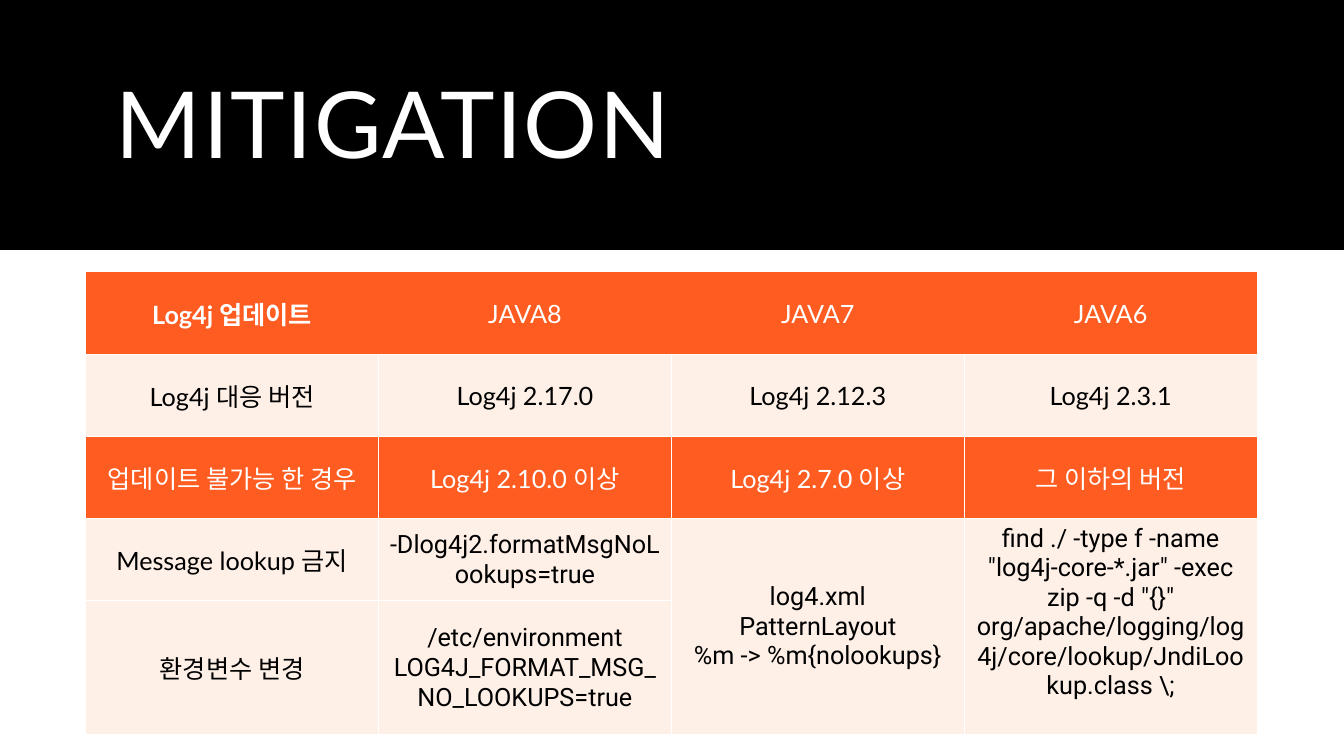
from dataclasses import dataclass

from lxml import etree
from pptx import Presentation
from pptx.dml.color import RGBColor
from pptx.enum.shapes import MSO_SHAPE
from pptx.enum.text import MSO_ANCHOR, PP_ALIGN
from pptx.oxml.ns import qn
from pptx.util import Cm, Pt

RECT = MSO_SHAPE.RECTANGLE
TOP, MIDDLE = MSO_ANCHOR.TOP, MSO_ANCHOR.MIDDLE
LEFT, CENTER = PP_ALIGN.LEFT, PP_ALIGN.CENTER


@dataclass(frozen=True)
class Theme:
    black: str = "000000"
    white: str = "FFFFFF"
    accent: str = "FF5C21"
    tint: str = "FEEFE7"
    main: str = "Lato"
    code: str = "Roboto"
    title: int = 66
    body: int = 18


class Deck:
    def __init__(self, theme, width, height):
        self.theme = theme
        self.file = Presentation()
        self.file.slide_width, self.file.slide_height = Cm(width), Cm(height)
        self.slide = self.file.slides.add_slide(self.file.slide_layouts[6])

    def label(self, frame, text, align, color, **style):
        """Fill a text frame, one paragraph for each line of text."""
        frame.text = text
        for para in frame.paragraphs:
            para.alignment = align
            for run in para.runs:
                for key, value in style.items():
                    setattr(run.font, key, value)
                run.font.color.rgb = RGBColor.from_string(color)

    def band(self, left, top, width, height, color):
        box = self.slide.shapes.add_shape(
            RECT, Cm(left), Cm(top), Cm(width), Cm(height))
        box.shadow.inherit = False
        box.fill.solid()
        box.fill.fore_color.rgb = RGBColor.from_string(color)
        box.line.fill.background()

    def title(self, left, top, width, height, text):
        box = self.slide.shapes.add_textbox(
            Cm(left), Cm(top), Cm(width), Cm(height))
        frame = box.text_frame
        frame.word_wrap = True
        frame.vertical_anchor = MIDDLE
        look = self.theme
        self.label(frame, text, LEFT, look.white,
                   name=look.main, size=Pt(look.title))
        para = frame.paragraphs[0]
        para.line_spacing = 0.9
        para.runs[0].font._element.set("spc", "120")

    def edge(self, cell, color):
        """Draw all four cell borders, or none when color is None."""
        props = cell._tc.get_or_add_tcPr()
        for spot, side in enumerate("LRTB"):
            line = etree.Element(qn(f"a:ln{side}"), w=str(Pt(1)))
            if color:
                fill = etree.SubElement(line, qn("a:solidFill"))
                etree.SubElement(fill, qn("a:srgbClr"), val=color)
            else:
                etree.SubElement(line, qn("a:noFill"))
            props.insert(spot, line)

    def cell(self, cell, text, fill, color, edge, anchor=MIDDLE, **style):
        cell.fill.solid()
        cell.fill.fore_color.rgb = RGBColor.from_string(fill)
        cell.vertical_anchor = anchor
        self.label(cell.text_frame, text, CENTER, color,
                   size=Pt(self.theme.body), **style)
        self.edge(cell, edge)

    def table(self, left, top, width, heights, rows, heads, merges):
        """Rows listed in heads are orange; merges holds cell corner pairs."""
        look = self.theme
        grid = self.slide.shapes.add_table(
            len(rows), len(rows[0]), Cm(left), Cm(top),
            Cm(width * len(rows[0])), Cm(sum(heights))).table
        grid.first_row = grid.horz_banding = False
        for col in grid.columns:
            col.width = Cm(width)
        for row, height in zip(grid.rows, heights):
            row.height = Cm(height)
        for r, texts in enumerate(rows):
            head = r in heads
            for c, text in enumerate(texts):
                code = r > max(heads) and c > 0
                self.cell(
                    grid.cell(r, c), text,
                    look.accent if head else look.tint,
                    look.white if head else look.black,
                    look.white if r else None,
                    TOP if text.startswith("find") else MIDDLE,
                    name=look.code if code else look.main,
                    bold=r == c == 0)
        for first, last in merges:
            grid.cell(*first).merge(grid.cell(*last))


ROWS = [
    ["Log4j 업데이트", "JAVA8", "JAVA7", "JAVA6"],
    ["Log4j 대응 버전", "Log4j 2.17.0", "Log4j 2.12.3", "Log4j 2.3.1"],
    ["업데이트 불가능 한 경우", "Log4j 2.10.0 이상", "Log4j 2.7.0 이상",
     "그 이하의 버전"],
    ["Message lookup 금지", "-Dlog4j2.formatMsgNoLookups=true",
     "log4.xml\nPatternLayout\n%m -> %m{nolookups}",
     'find ./ -type f -name "log4j-core-*.jar" -exec zip -q -d "{}" '
     "org/apache/logging/log4j/core/lookup/JndiLookup.class \\;"],
    ["환경변수 변경",
     "/etc/environment\nLOG4J_FORMAT_MSG_NO_LOOKUPS=true", "", ""],
]


def main():
    theme = Theme()
    deck = Deck(theme, 33.87, 19.05)
    deck.band(0, 0, 33.87, 6.3, theme.black)
    deck.title(2.67, 0.89, 28.52, 4.72, "MITIGATION")
    deck.table(2.16, 6.86, 7.38, [2.07] * 4 + [3.38], ROWS, heads=(0, 2),
               merges=[((3, c), (4, c)) for c in (2, 3)])
    deck.file.save("out.pptx")


if __name__ == "__main__":
    main()
